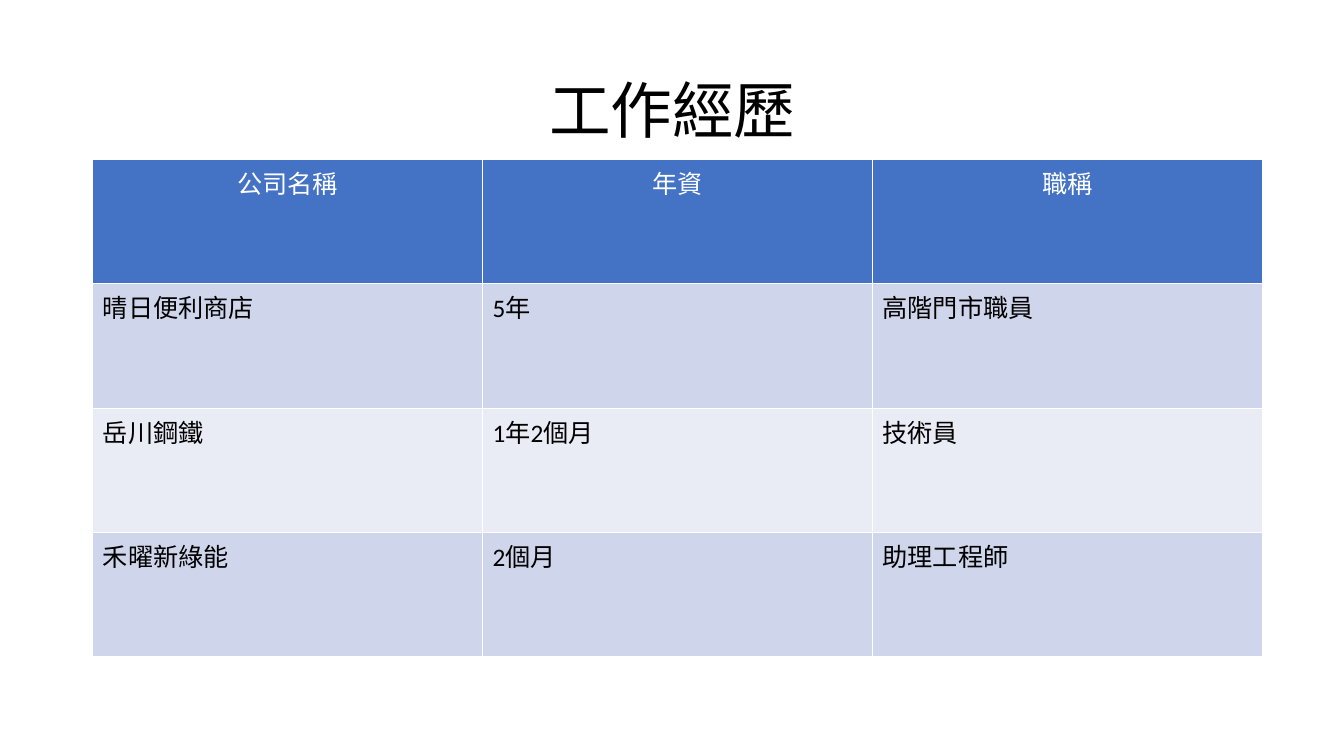
from dataclasses import dataclass

from pptx import Presentation
from pptx.dml.color import RGBColor as RGB
from pptx.enum.text import MSO_ANCHOR as Anchor, PP_ALIGN as Align
from pptx.util import Inches, Pt


@dataclass(frozen=True)
class Theme:
    font: str = "Calibri"
    title: int = 44
    body: int = 18
    ink: str = "000000"
    light: str = "FFFFFF"
    head: str = "4472C4"
    bands: tuple = ("CFD5EA", "E9EBF5")


THEME = Theme()
JOBS = [
    ("公司名稱", "年資", "職稱"),
    ("晴日便利商店", "5年", "高階門市職員"),
    ("岳川鋼鐵", "1年2個月", "技術員"),
    ("禾曜新綠能", "2個月", "助理工程師"),
]


def add_run(para, text, size, color):
    run = para.add_run()
    run.text = text
    font = run.font
    font.name, font.size, font.bold = THEME.font, Pt(size), False
    font.color.rgb = RGB.from_string(color)


def add_title(slide, text, left, top, width, height):
    box = slide.shapes.add_textbox(
        Inches(left), Inches(top), Inches(width), Inches(height))
    frame = box.text_frame
    frame.word_wrap = True
    frame.vertical_anchor = Anchor.MIDDLE
    para = frame.paragraphs[0]
    para.alignment = Align.CENTER
    para.line_spacing = 0.9
    add_run(para, text, THEME.title, THEME.ink)


def add_jobs(slide, jobs, left, top, width, height):
    """Draw the job table; white rules come from the default table style."""
    table = slide.shapes.add_table(
        len(jobs), len(jobs[0]),
        Inches(left), Inches(top), Inches(width), Inches(height)).table
    for r, job in enumerate(jobs):
        is_head = r == 0
        fill = THEME.head if is_head else THEME.bands[(r - 1) % 2]
        for c, text in enumerate(job):
            cell = table.cell(r, c)
            cell.fill.solid()
            cell.fill.fore_color.rgb = RGB.from_string(fill)
            para = cell.text_frame.paragraphs[0]
            para.alignment = Align.CENTER if is_head else Align.LEFT
            add_run(para, text, THEME.body,
                    THEME.light if is_head else THEME.ink)


def main():
    deck = Presentation()
    deck.slide_width, deck.slide_height = Inches(13.33), Inches(7.5)
    slide = deck.slides.add_slide(deck.slide_layouts[6])
    add_title(slide, "工作經歷", 0.92, 0.4, 11.5, 1.45)
    add_jobs(slide, JOBS, 0.92, 1.58, 11.6, 4.94)
    deck.save("out.pptx")


if __name__ == "__main__":
    main()
